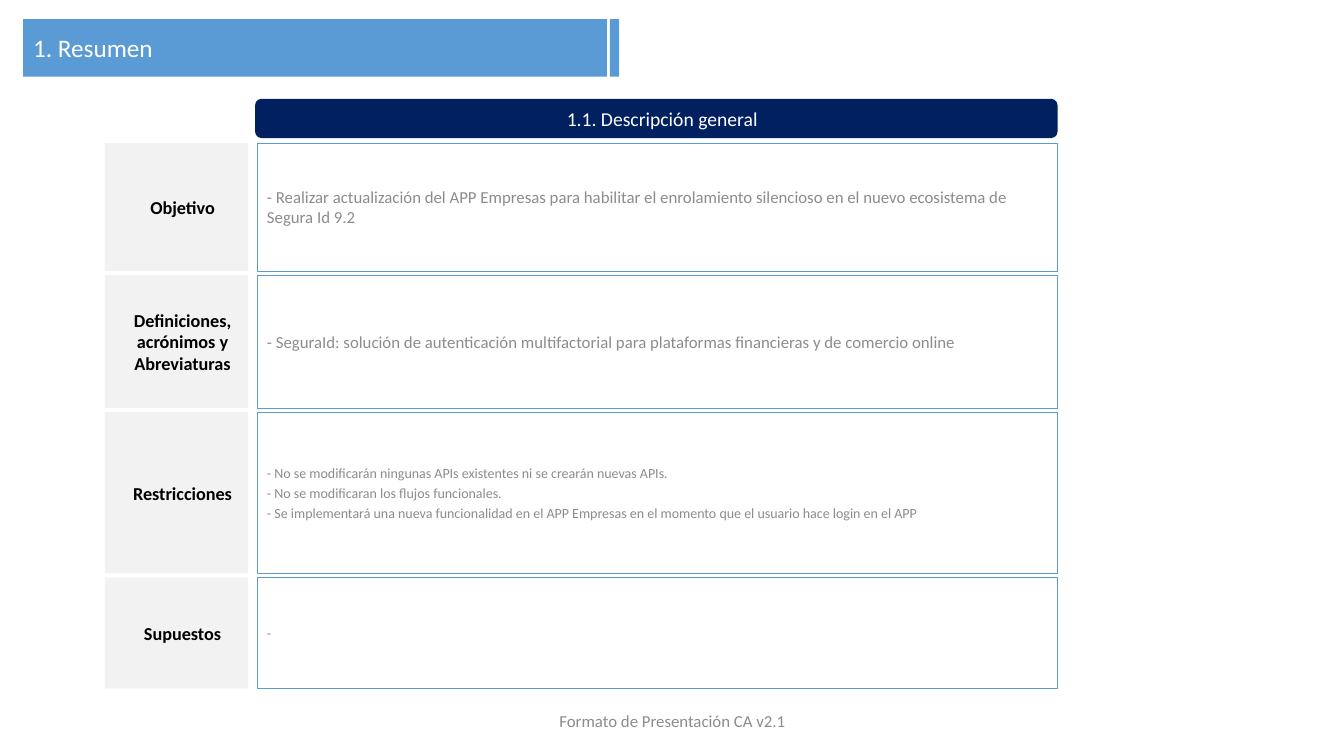
"""Build the summary slide with its general description rows."""
import pptx
import pptx.util
import pptx.dml.color
import pptx.enum.shapes
import pptx.enum.text

Inches = pptx.util.Inches
Pt = pptx.util.Pt
Shape = pptx.enum.shapes.MSO_SHAPE
Align = pptx.enum.text.PP_ALIGN

COLORS = {
    "blue": "5B9BD5",
    "navy": "002060",
    "label": "F2F2F2",
    "white": "FFFFFF",
    "black": "000000",
    "gray": "8C8C8C",
}
FONT = "Calibri"
FIRST_TOP = 1.42
ROW_GAP = 0.04
ROWS = [
    ("Objetivo", 1.27, 12, [
        "- Realizar actualización del APP Empresas para habilitar el enrolamiento "
        "silencioso en el nuevo ecosistema de Segura Id 9.2",
    ]),
    ("Definiciones, acrónimos y Abreviaturas", 1.32, 12, [
        "- SeguraId: solución de autenticación multifactorial para plataformas "
        "financieras y de comercio online",
    ]),
    ("Restricciones", 1.6, 10, [
        "- No se modificarán ningunas APIs existentes ni se crearán nuevas APIs.",
        "- No se modificaran los flujos funcionales.",
        "- Se implementará una nueva funcionalidad en el APP Empresas en el momento "
        "que el usuario hace login en el APP",
    ]),
    ("Supuestos", 1.1, 10, ["-"]),
]


def rgb(name):
    """Return the named colour."""
    return pptx.dml.color.RGBColor.from_string(COLORS[name])


def add_panel(page, area, fill, line=None, kind=Shape.RECTANGLE):
    """Add a filled shape, outlined only when a line colour is given."""
    panel = page.shapes.add_shape(kind, *map(Inches, area))
    panel.shadow.inherit = False
    panel.fill.solid()
    panel.fill.fore_color.rgb = rgb(fill)
    if line:
        panel.line.color.rgb = rgb(line)
        panel.line.width = Pt(0.5)
    else:
        panel.line.fill.background()
    return panel


def write(box, lines, size, color, align=Align.LEFT, bold=False,
          insets=(0.1, 0.05, 0.1, 0.05), before=0, indent=0):
    """Fill a box with one paragraph per line, centred vertically."""
    frame = box.text_frame
    frame.word_wrap = True
    frame.vertical_anchor = pptx.enum.text.MSO_ANCHOR.MIDDLE
    (frame.margin_left, frame.margin_top,
     frame.margin_right, frame.margin_bottom) = map(Inches, insets)
    for index, line in enumerate(lines):
        para = frame.add_paragraph() if index else frame.paragraphs[0]
        para.alignment = align
        para.space_before = Pt(before)
        if indent:
            properties = para._p.get_or_add_pPr()
            properties.set("marL", str(Inches(indent)))
            properties.set("indent", "0")
        span = para.add_run()
        span.text = line
        span.font.name = FONT
        span.font.size = Pt(size)
        span.font.bold = bold
        span.font.color.rgb = rgb(color)


def add_row(page, top, height, label, size, lines):
    """Add a label cell and its outlined description."""
    insets = (0.1,) * 4
    label_cell = add_panel(page, (1.04, top, 1.42, height), "label")
    write(label_cell, [label], 13, "black", Align.CENTER, True,
          insets, before=2.6, indent=0.12)
    detail = add_panel(page, (2.55, top, 7.94, height), "white", "blue")
    write(detail, lines, size, "gray", insets=insets, before=size * 0.2)


def main():
    """Build and save the deck."""
    deck = pptx.Presentation()
    deck.slide_width, deck.slide_height = Inches(13.33), Inches(7.5)
    page = deck.slides.add_slide(deck.slide_layouts[6])

    title = add_panel(page, (0.23, 0.19, 5.79, 0.57), "blue")
    write(title, ["1. Resumen"], 18, "white")
    add_panel(page, (6.05, 0.19, 0.09, 0.57), "blue")

    heading = add_panel(page, (2.53, 0.98, 7.96, 0.39), "navy",
                        kind=Shape.ROUNDED_RECTANGLE)
    write(heading, ["1.1. Descripción general"], 14, "white", Align.CENTER,
          insets=(0.12, 0, 0, 0))

    top = FIRST_TOP
    for label, height, size, lines in ROWS:
        add_row(page, top, height, label, size, lines)
        top += height + ROW_GAP

    footer = page.shapes.add_textbox(*map(Inches, (4.42, 6.95, 4.5, 0.4)))
    write(footer, ["Formato de Presentación CA v2.1"], 12, "gray", Align.CENTER)
    deck.save("out.pptx")


if __name__ == "__main__":
    main()
